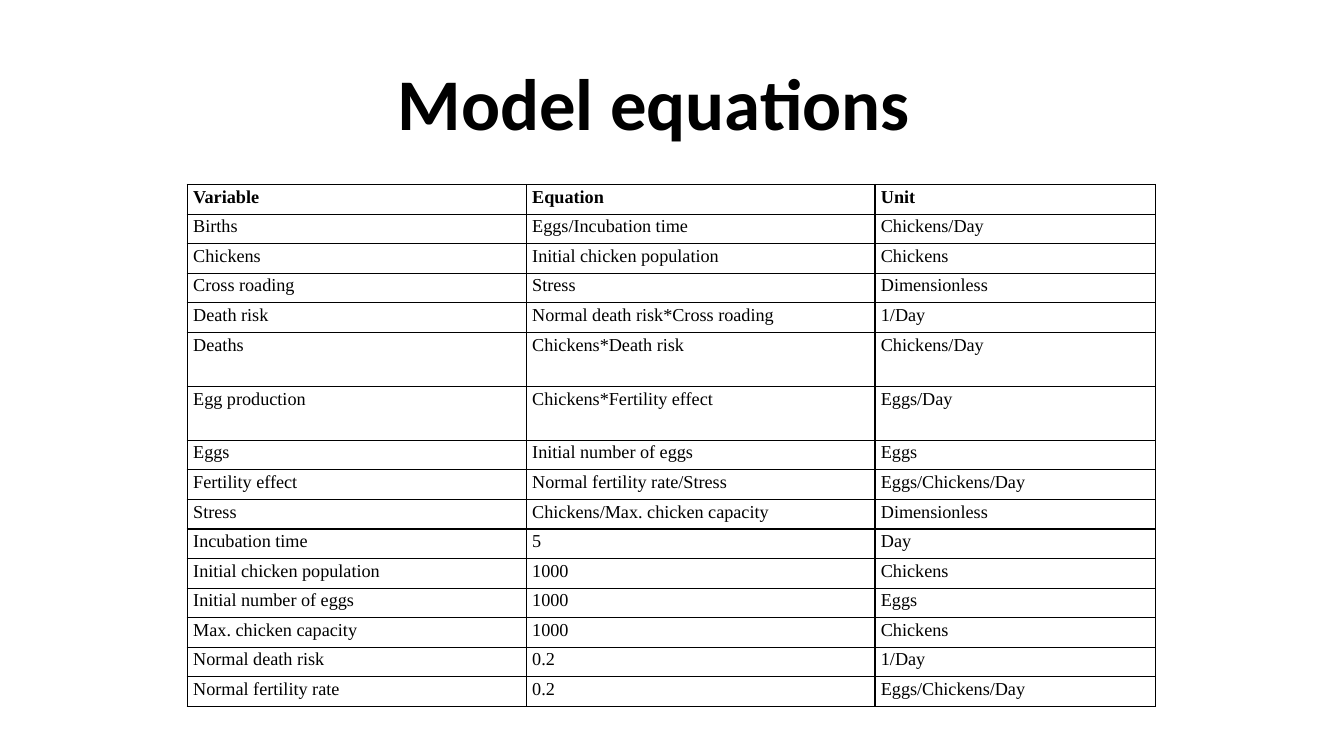
from lxml.etree import SubElement
from pptx import Presentation
from pptx.dml.color import RGBColor
from pptx.enum.text import MSO_ANCHOR, PP_ALIGN
from pptx.oxml.ns import qn
from pptx.util import Cm, Pt

BLACK = RGBColor(0x00, 0x00, 0x00)
WHITE = RGBColor(0xFF, 0xFF, 0xFF)

HEADINGS = ("Variable", "Equation", "Unit")
EQUATIONS = [
    ("Births", "Eggs/Incubation time", "Chickens/Day"),
    ("Chickens", "Initial chicken population", "Chickens"),
    ("Cross roading", "Stress", "Dimensionless"),
    ("Death risk", "Normal death risk*Cross roading", "1/Day"),
    ("Deaths", "Chickens*Death risk", "Chickens/Day"),
    ("Egg production", "Chickens*Fertility effect", "Eggs/Day"),
    ("Eggs", "Initial number of eggs", "Eggs"),
    ("Fertility effect", "Normal fertility rate/Stress", "Eggs/Chickens/Day"),
    ("Stress", "Chickens/Max. chicken capacity", "Dimensionless"),
    ("Incubation time", "5", "Day"),
    ("Initial chicken population", "1000", "Chickens"),
    ("Initial number of eggs", "1000", "Eggs"),
    ("Max. chicken capacity", "1000", "Chickens"),
    ("Normal death risk", "0.2", "1/Day"),
    ("Normal fertility rate", "0.2", "Eggs/Chickens/Day"),
]
TALL_VARIABLES = ("Deaths", "Egg production")
TALL_HEIGHT = 1.36
COLUMN_SHARES = (0.35, 0.36, 0.29)


def style_paragraph(paragraph, font_name, size, bold, line_spacing):
    paragraph.line_spacing = line_spacing
    for run in paragraph.runs:
        run.font.name = font_name
        run.font.size = Pt(size)
        run.font.bold = bold
        run.font.color.rgb = BLACK


def add_title(slide, left, top, width, height):
    title = slide.shapes.add_textbox(Cm(left), Cm(top), Cm(width), Cm(height))
    frame = title.text_frame
    frame.word_wrap = True
    frame.vertical_anchor = MSO_ANCHOR.MIDDLE
    frame.text = "Model equations"
    heading = frame.paragraphs[0]
    heading.alignment = PP_ALIGN.CENTER
    style_paragraph(heading, "Calibri", 52, True, 0.9)


def add_borders(cell):
    properties = cell._tc.get_or_add_tcPr()
    for side in ("a:lnL", "a:lnR", "a:lnT", "a:lnB"):
        border = SubElement(properties, qn(side), w=str(Pt(1)))
        fill = SubElement(border, qn("a:solidFill"))
        SubElement(fill, qn("a:srgbClr"), val=str(BLACK))


def fill_cell(cell, text, bold):
    cell.margin_left = cell.margin_right = Cm(0.15)
    cell.margin_top = Cm(0.03)
    cell.margin_bottom = 0
    cell.vertical_anchor = MSO_ANCHOR.TOP
    cell.text_frame.text = text
    style_paragraph(cell.text_frame.paragraphs[0], "Times New Roman", 13, bold, 1.07)
    add_borders(cell)
    cell.fill.solid()
    cell.fill.fore_color.rgb = WHITE


def add_equation_table(slide, left, top, width, height):
    lines = [HEADINGS] + EQUATIONS
    table = slide.shapes.add_table(
        len(lines), len(HEADINGS), Cm(left), Cm(top), Cm(width), Cm(height)
    ).table
    table.first_row = False
    table.horz_banding = False

    for column, share in zip(table.columns, COLUMN_SHARES):
        column.width = Cm(width * share)

    # The rows that are not tall share the remaining height
    tall_count = len(TALL_VARIABLES)
    normal_height = (height - tall_count * TALL_HEIGHT) / (len(lines) - tall_count)
    for row, line in zip(table.rows, lines):
        row.height = Cm(TALL_HEIGHT if line[0] in TALL_VARIABLES else normal_height)
        for cell, text in zip(row.cells, line):
            fill_cell(cell, text, bold=line is HEADINGS)


def main():
    presentation = Presentation()
    presentation.slide_width = Cm(33.87)
    presentation.slide_height = Cm(19.05)
    slide = presentation.slides.add_slide(presentation.slide_layouts[6])

    add_title(slide, left=7.92, top=0.89, width=17.12, height=3.63)
    add_equation_table(slide, left=4.72, top=4.65, width=24.41, height=13.16)

    presentation.save("out.pptx")


if __name__ == "__main__":
    main()
